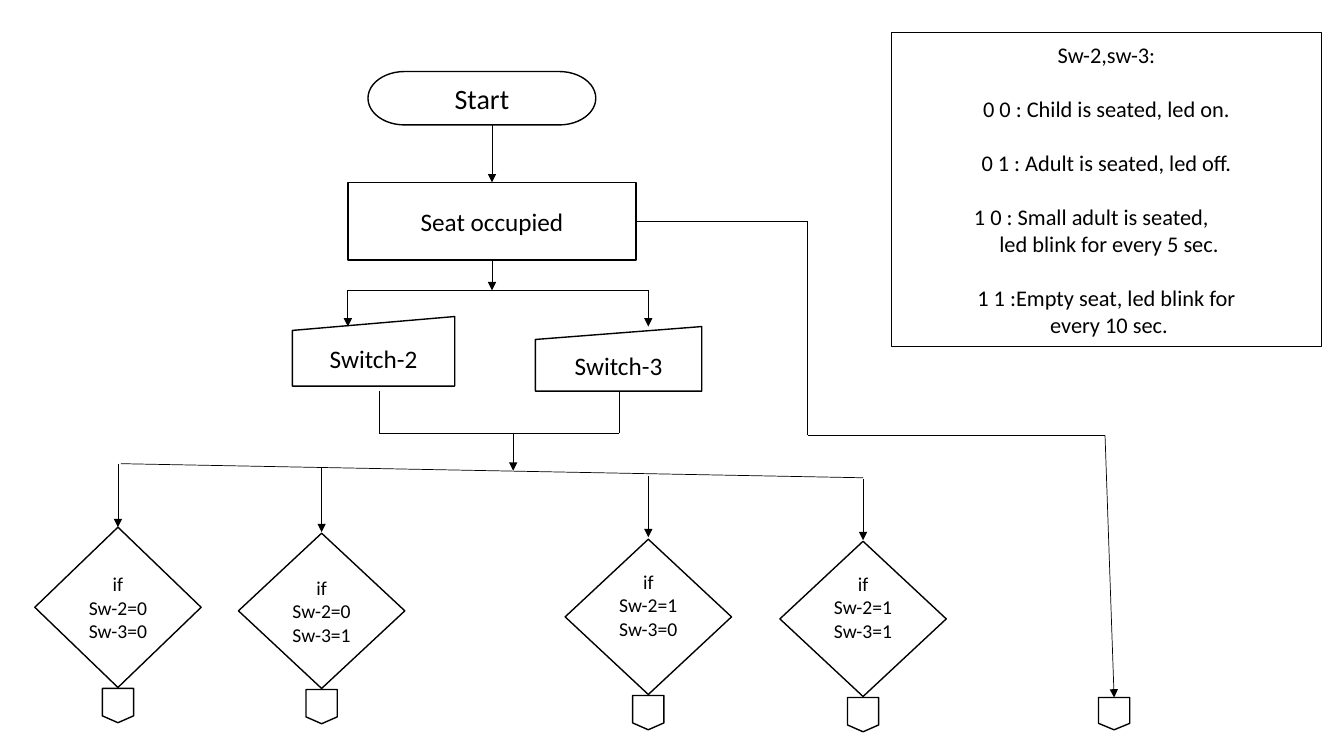
from itertools import pairwise

from lxml.etree import SubElement
from pptx import Presentation
from pptx.dml.color import RGBColor
from pptx.enum.shapes import MSO_CONNECTOR as Link, MSO_SHAPE as Kind
from pptx.enum.text import MSO_ANCHOR as Anchor, PP_ALIGN as Align
from pptx.oxml.ns import qn
from pptx.util import Inches, Pt

INK, PAPER = "000000", "FFFFFF"

# centre, arrow start, arrow end, diamond top, height, bottom inset, switch values
CASES = [
    (1.17, 4.6, 5.23, 5.23, 1.59, 0, (0, 0)),
    (3.19, 4.63, 5.28, 5.29, 1.54, 0, (0, 1)),
    (6.43, 4.72, 5.33, 5.35, 1.54, 0.24, (1, 0)),
    (8.56, 4.75, 5.36, 5.37, 1.54, 0.24, (1, 1)),
]

# text, left indent in inches, whether a gap comes before it
LEGEND = [
    ("Sw-2,sw-3:", 0.3, False),
    ("0 0 : Child is seated, led on.", 0.3, True),
    ("0 1 : Adult is seated, led off.", 0.3, True),
    ("1 0 : Small adult is seated,", 0, True),
    ("led blink for every 5 sec.", 0.35, False),
    ("1 1 :Empty seat, led blink for", 0.3, True),
    ("every 10 sec.", 0.35, False),
]


def color(code):
    return RGBColor.from_string(code)


def apply(item, values):
    for name, value in values.items():
        setattr(item, name, value)


def add_box(slide, kind, left, top, width, height, lines=(), size=18, **frame):
    shape = slide.shapes.add_shape(kind, *map(Inches, (left, top, width, height)))
    shape.shadow.inherit = False
    shape.fill.solid()
    shape.fill.fore_color.rgb = color(PAPER)
    shape.line.color.rgb = color(INK)
    shape.line.width = Pt(1)
    text = shape.text_frame
    apply(text, {"word_wrap": True, "vertical_anchor": Anchor.MIDDLE, **frame})
    text.text = "\n".join(lines)
    for para in text.paragraphs:
        para.alignment = Align.CENTER
        apply(para.font, {"name": "Calibri", "size": Pt(size)})
        para.font.color.rgb = color(INK)
    return shape


def add_route(slide, *points, arrow=False):
    """Join the points with straight lines; an arrowhead may close the last."""
    for start, end in pairwise(points):
        line = slide.shapes.add_connector(Link.STRAIGHT, *map(Inches, start + end))
        line.line.color.rgb = color(INK)
        line.line.width = Pt(0.5)
        if arrow and end == points[-1]:
            SubElement(line.line._get_or_add_ln(), qn("a:tailEnd"), type="triangle")
        SubElement(line._element.spPr, qn("a:effectLst"))


def add_exit(slide, center, top, height=0.34):
    add_box(slide, Kind.FLOWCHART_OFFPAGE_CONNECTOR,
            center - 0.155, top, 0.31, height)


def add_case(slide, center, start, end, top, height, inset, values):
    add_route(slide, (center, start), (center, end), arrow=True)
    lines = ["if"] + [f"Sw-{n}={value}" for n, value in enumerate(values, 2)]
    add_box(slide, Kind.FLOWCHART_DECISION, center - 0.825, top, 1.65, height,
            lines, 14, margin_left=0, margin_right=0, margin_top=0,
            margin_bottom=Inches(inset))
    add_exit(slide, center, top + height + 0.01)


def add_legend(slide):
    box = add_box(slide, Kind.RECTANGLE, 8.84, 0.32, 4.27, 3.12,
                  [text for text, _, _ in LEGEND], 16, margin_right=Inches(0.4))
    for para, (_, indent, gap) in zip(box.text_frame.paragraphs, LEGEND):
        para._p.get_or_add_pPr().set("marL", str(Inches(indent)))
        if gap:
            para.space_before = Pt(19.5)


def add_switches(slide):
    add_box(slide, Kind.FLOWCHART_MANUAL_INPUT, 2.9, 3.14, 1.61, 0.69, ["Switch-2"])
    add_box(slide, Kind.FLOWCHART_MANUAL_INPUT, 5.31, 3.24, 1.65, 0.64, ["Switch-3"])
    add_route(slide, (3.45, 2.88), (6.43, 2.88))
    for x in (3.45, 6.43):
        add_route(slide, (x, 2.88), (x, 3.24), arrow=True)
    add_route(slide, (3.76, 3.88), (3.76, 4.3), (6.14, 4.3), (6.14, 3.88))
    add_route(slide, (5.09, 4.3), (5.09, 4.67), arrow=True)


def main():
    deck = Presentation()
    apply(deck, {"slide_width": Inches(13.33), "slide_height": Inches(7.5)})
    slide = deck.slides.add_slide(deck.slide_layouts[6])

    add_box(slide, Kind.FLOWCHART_TERMINATOR, 3.65, 0.71, 2.26, 0.53, ["Start"], 20)
    add_box(slide, Kind.FLOWCHART_PROCESS, 3.45, 1.81, 2.86, 0.77, ["Seat occupied"])
    add_route(slide, (4.88, 1.24), (4.88, 1.81), arrow=True)
    add_route(slide, (4.88, 2.59), (4.88, 2.88), arrow=True)
    add_switches(slide)

    add_route(slide, (1.2, 4.6), (8.56, 4.74))
    for case in CASES:
        add_case(slide, *case)

    add_legend(slide)
    add_route(slide, (6.31, 2.2), (8.01, 2.2), (8.01, 4.32), (10.96, 4.32),
              (11.05, 6.92), arrow=True)
    add_exit(slide, 11.05, 6.92, 0.32)
    deck.save("out.pptx")


if __name__ == "__main__":
    main()
